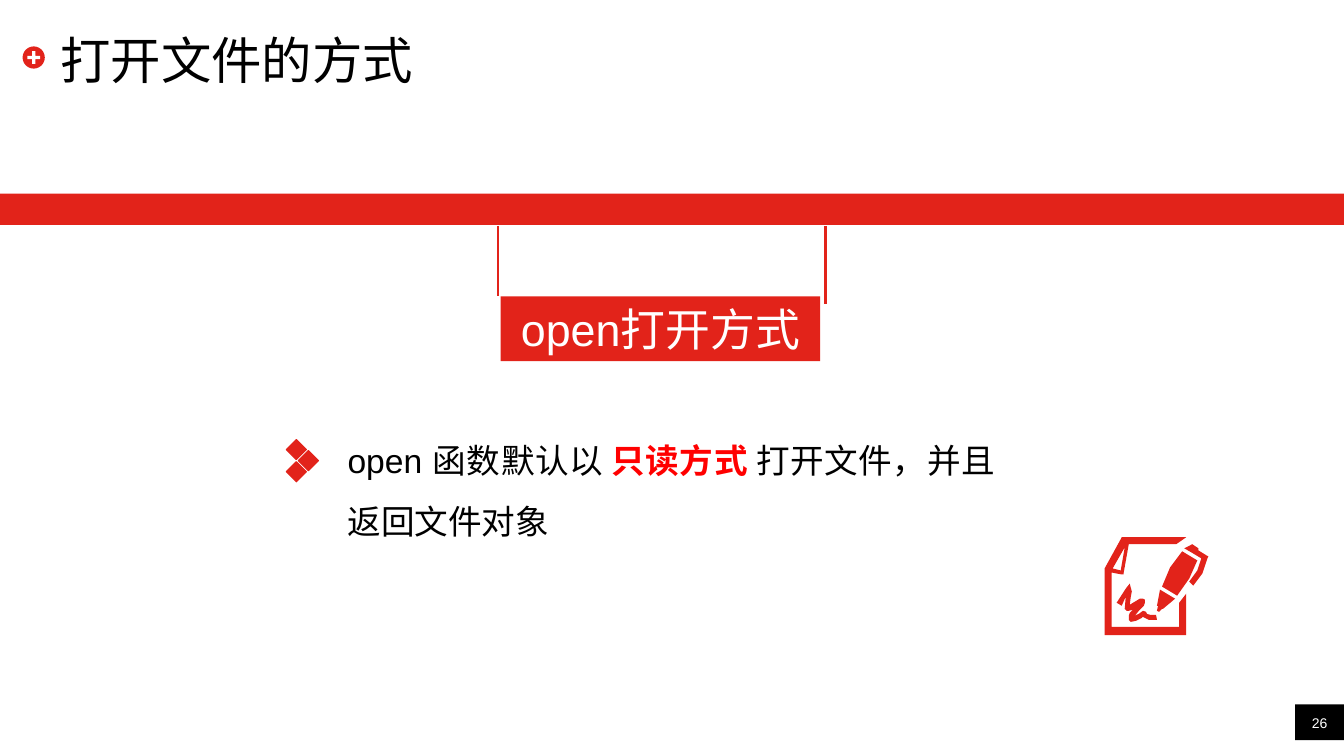
from lxml.etree import SubElement
from pptx import Presentation
from pptx.dml.color import RGBColor
from pptx.enum.shapes import MSO_CONNECTOR as Connector, MSO_SHAPE as Shape
from pptx.enum.text import MSO_ANCHOR as Anchor, PP_ALIGN as Align
from pptx.oxml.ns import qn
from pptx.util import Cm, Pt

RED = RGBColor(0xE2, 0x23, 0x1A)
EMPHASIS = RGBColor(0xFF, 0x00, 0x00)
BLACK = RGBColor(0x00, 0x00, 0x00)
WHITE = RGBColor(0xFF, 0xFF, 0xFF)

OUTLINE_UNIT = Cm(0.0254)

PAPER = [
    (1115, 533), (1177, 533), (1167, 540), (1120, 540), (1115, 568),
    (1115, 570), (1113, 570), (1103, 568), (1103, 622), (1170, 622),
    (1170, 598), (1177, 589), (1177, 630), (1096, 630), (1096, 564),
    (1112, 535), (1113, 533),
]
SIGNATURE = [
    (1108, 598), (1113, 601), (1117, 592), (1116, 604), (1118, 606),
    (1120, 606), (1124, 605), (1121, 608), (1120, 611), (1120, 615),
    (1122, 617), (1127, 616), (1133, 613), (1134, 612), (1140, 615),
    (1148, 615), (1147, 610), (1141, 610), (1138, 609), (1137, 607),
    (1134, 606), (1130, 609), (1126, 611), (1130, 606), (1135, 601),
    (1136, 598), (1136, 595), (1134, 594), (1131, 594), (1126, 597),
    (1121, 600), (1122, 592), (1123, 587), (1121, 579), (1117, 584),
]
FOLD = [(1116, 543), (1104, 564), (1112, 566)]
NIB = [
    (1151, 585), (1148, 601), (1149, 601), (1148, 606), (1150, 607),
    (1153, 604), (1154, 604), (1166, 594),
]
CLIP = [
    (1189, 546), (1189, 544), (1183, 540), (1175, 544), (1182, 548),
    (1192, 554), (1188, 566), (1180, 577), (1184, 581), (1193, 569),
    (1198, 554), (1199, 552), (1197, 551),
]
BARREL = [
    (1173, 547), (1161, 563), (1153, 582), (1168, 591), (1180, 574),
    (1188, 556),
]


def diamond(x, y, radius=10):
    return [(x, y - radius), (x + radius, y), (x, y + radius), (x - radius, y)]


def write_text(shape, *runs, size=24, color=WHITE, align=Align.LEFT,
               anchor=Anchor.TOP, inset=None, spacing=None):
    frame = shape.text_frame
    frame.word_wrap = True
    frame.vertical_anchor = anchor
    if inset is not None:
        frame.margin_left = frame.margin_right = Cm(inset)
        frame.margin_top = frame.margin_bottom = Cm(inset)
    paragraph = frame.paragraphs[0]
    paragraph.alignment = align
    if spacing:
        paragraph.line_spacing = spacing
    for content, emphasized in runs:
        run = paragraph.add_run()
        run.text = content
        run.font.name = "Arial"
        run.font.size = Pt(size)
        run.font.bold = emphasized
        run.font.color.rgb = EMPHASIS if emphasized else color


class SlideBuilder:
    def __init__(self, slide, accent):
        self.shapes = slide.shapes
        self.accent = accent

    def paint(self, shape, fill):
        shape.shadow.inherit = False
        shape.fill.solid()
        shape.fill.fore_color.rgb = fill
        shape.line.fill.background()
        return shape

    def block(self, kind, left, top, width, height, fill=None):
        shape = self.shapes.add_shape(
            kind, Cm(left), Cm(top), Cm(width), Cm(height))
        return self.paint(shape, fill or self.accent)

    def text(self, left, top, width, height, *runs, **text_format):
        box = self.shapes.add_textbox(
            Cm(left), Cm(top), Cm(width), Cm(height))
        write_text(box, *runs, **text_format)

    def line(self, x, top, bottom):
        connector = self.shapes.add_connector(
            Connector.STRAIGHT, Cm(x), Cm(top), Cm(x), Cm(bottom))
        connector.line.color.rgb = self.accent
        connector.line.width = Pt(2)
        SubElement(connector._element.spPr, qn("a:effectLst"))

    def outline(self, *contours):
        first, *others = contours
        builder = self.shapes.build_freeform(*first[0], scale=OUTLINE_UNIT)
        builder.add_line_segments(first[1:], close=True)
        for contour in others:
            builder.move_to(*contour[0])
            builder.add_line_segments(contour[1:], close=True)
        return self.paint(builder.convert_to_shape(), self.accent)


def main():
    presentation = Presentation()
    presentation.slide_width = Cm(33.87)
    presentation.slide_height = Cm(19.05)
    slide = presentation.slides.add_slide(presentation.slide_layouts[6])
    builder = SlideBuilder(slide, RED)

    builder.block(Shape.RECTANGLE, 32.64, 17.75, 1.23, 0.9, BLACK)
    builder.text(32.64, 17.75, 1.23, 0.69, ("26", False), size=10,
                 align=Align.CENTER, anchor=Anchor.BOTTOM, inset=0)

    builder.block(Shape.OVAL, 0.57, 1.17, 0.56, 0.56)
    plus = builder.block(Shape.CROSS, 0.69, 1.29, 0.32, 0.32, WHITE)
    plus.adjustments[0] = 0.37
    builder.text(1.52, 0.76, 30.76, 1.45, ("打开文件的方式", False), size=36,
                 color=BLACK, anchor=Anchor.MIDDLE, inset=0)

    builder.text(8.51, 10.46, 16.81, 6.15, ("open 函数默认以", False),
                 (" 只读方式 ", True), ("打开文件，并且返回文件对象", False),
                 color=BLACK, align=Align.JUSTIFY, spacing=1.5)
    bullet = builder.outline(
        diamond(294, 468), diamond(306, 457), diamond(294, 446))
    bullet.line.color.rgb = RED
    bullet.line.width = Pt(0.75)

    builder.block(Shape.RECTANGLE, 0, 4.88, 33.87, 0.79)
    sign = builder.block(Shape.RECTANGLE, 12.62, 7.47, 8.05, 1.63)
    write_text(sign, ("open打开方式", False), size=32, align=Align.CENTER)
    for x, bottom in ((12.55, 7.47), (20.8, 7.65)):
        builder.line(x, 5.69, bottom)

    builder.outline(PAPER, SIGNATURE, FOLD, NIB, CLIP, BARREL)
    presentation.save("out.pptx")


if __name__ == "__main__":
    main()
